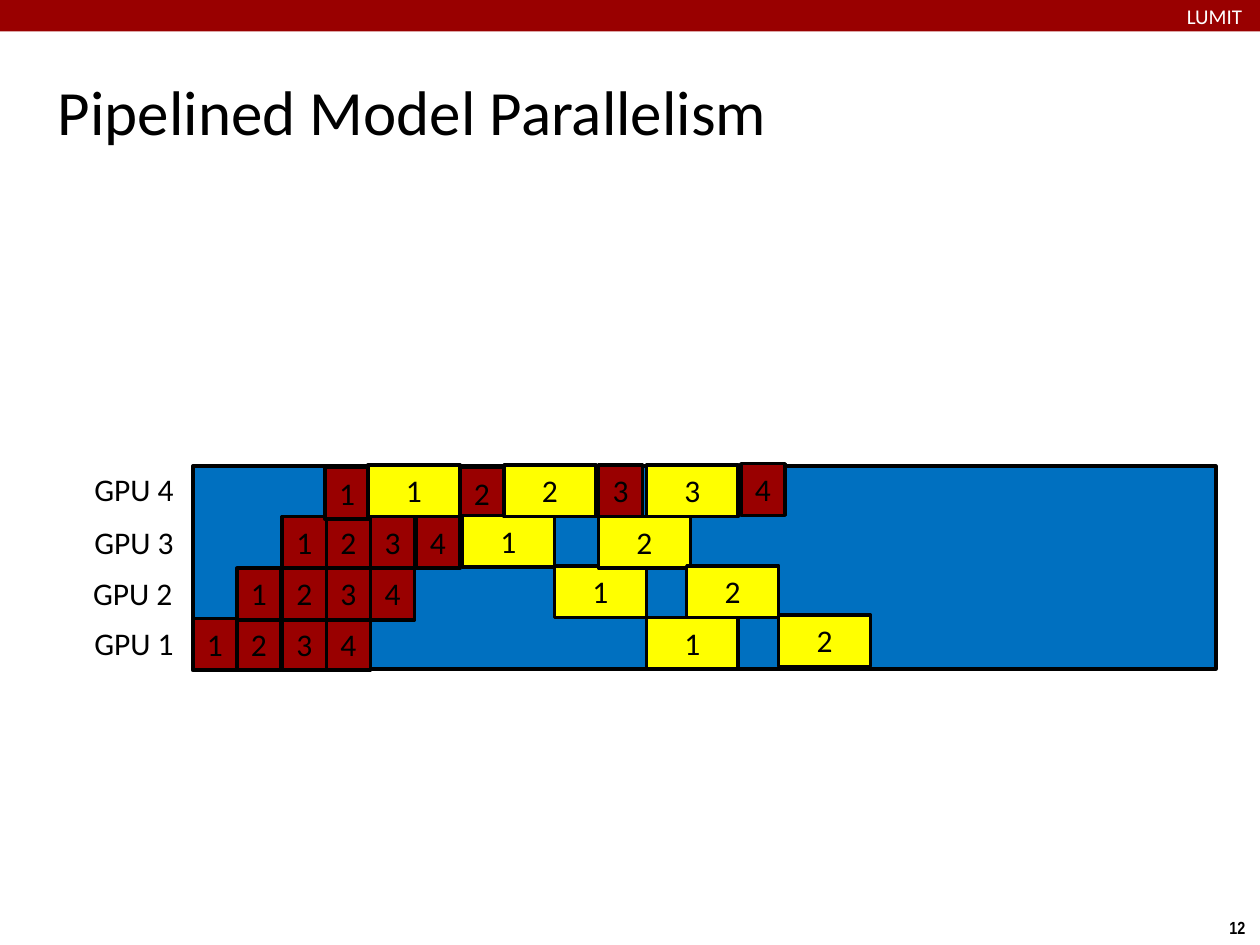
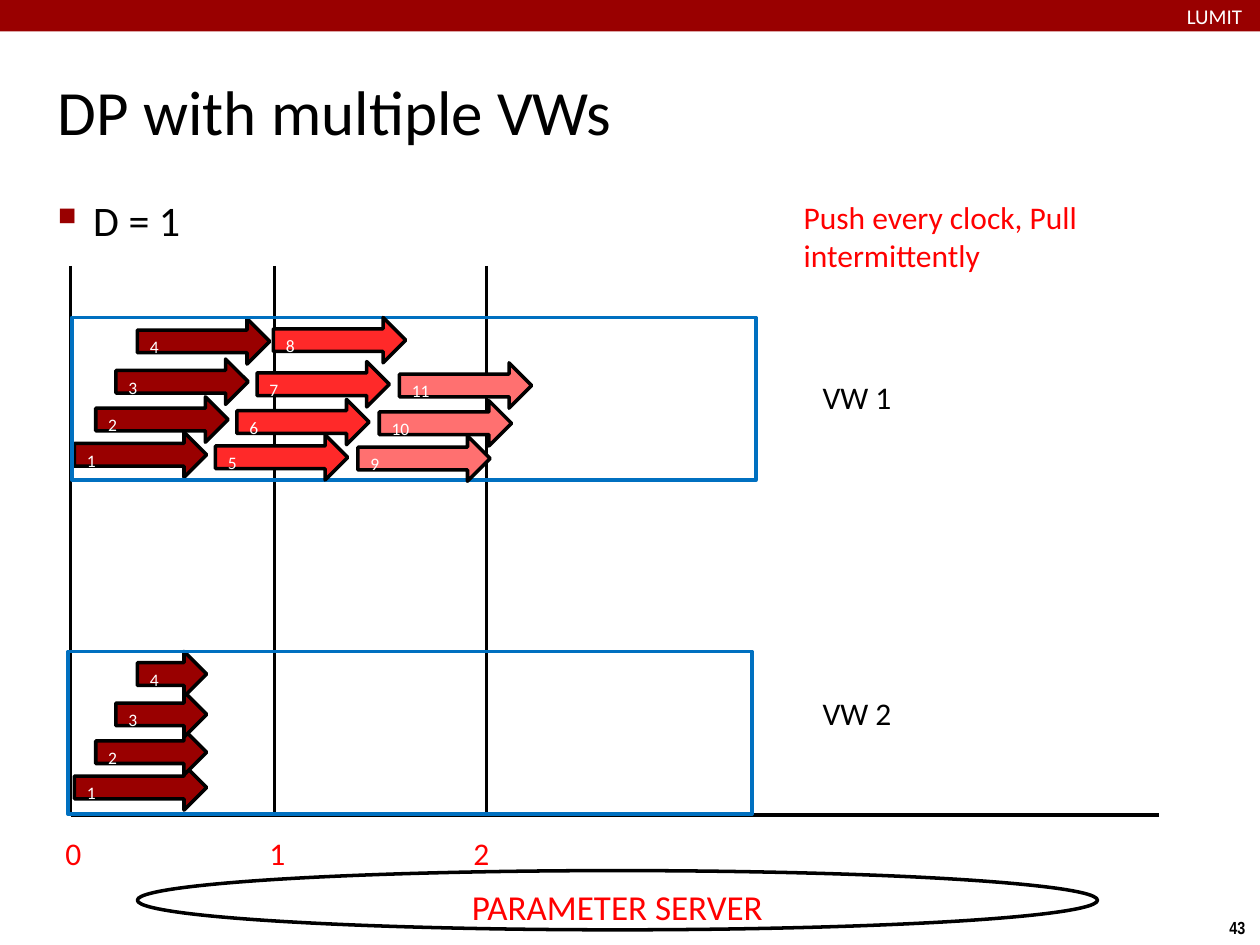
from dataclasses import dataclass

from lxml import etree
from pptx import Presentation
from pptx import util as u
from pptx.dml import color
from pptx.enum import shapes, text
from pptx.oxml import ns

EMU_PER_PX = u.Inches(1) // 100

BLACK = "000000"
WHITE = "FFFFFF"
CRIMSON = "990000"
RED = "FF0000"
BLUE = "0070C0"
YELLOW = "FFFF00"
LIGHT_RED = "FF2929"
PINK = "FF7070"

BODY_FONT = "Calibri"
NUMBER_FONT = "Arial Narrow"
SCHOOL = "LUMIT"

LEFT = text.PP_ALIGN.LEFT
CENTER = text.PP_ALIGN.CENTER
RECTANGLE = shapes.MSO_SHAPE.RECTANGLE
ARROW = shapes.MSO_SHAPE.RIGHT_ARROW
OVAL = shapes.MSO_SHAPE.OVAL


@dataclass(frozen=True)
class Box:
    left: int
    top: int
    width: int
    height: int


@dataclass(frozen=True)
class Style:
    size: int = 18
    color: str = BLACK
    font: str = BODY_FONT
    bold: bool = False
    align: text.PP_ALIGN = LEFT


@dataclass(frozen=True)
class Batch:
    number: int
    left: int
    top: int


@dataclass(frozen=True)
class Wave:
    first: int
    count: int
    left: int
    top: int
    fill: str
    shared_end: int | None = None


BLOCK_TEXT = Style(align=CENTER)
ARROW_TEXT = Style(size=10, color=WHITE)
RED_TEXT = Style(color=RED)

ROW_TOPS = {1: 491, 2: 451, 3: 410}
LABEL_BOXES = {
    1: Box(65, 490, 118, 41),
    2: Box(64, 451, 118, 41),
    3: Box(65, 410, 118, 41),
    4: Box(65, 368, 118, 41),
}
LAST_GPU_FORWARD = [
    Batch(1, 258, 371), Batch(2, 365, 371),
    Batch(3, 475, 369), Batch(4, 588, 368),
]
BACKWARD = [
    Batch(1, 292, 369), Batch(1, 367, 409), Batch(1, 440, 449), Batch(1, 513, 490),
    Batch(2, 400, 369), Batch(2, 475, 410), Batch(2, 545, 449), Batch(2, 618, 488),
    Batch(3, 513, 369),
]
FIRST_WAVES = [
    Wave(1, 4, 59, 343, CRIMSON),
    Wave(1, 4, 59, 607, CRIMSON, shared_end=164),
]
LATER_WAVES = [
    Wave(5, 3, 171, 345, LIGHT_RED),
    Wave(8, 1, 217, 252, LIGHT_RED),
    Wave(9, 3, 284, 346, PINK),
]
WAVE_RISES = [0, 28, 58, 90]


def px(length: int) -> int:
    return u.Emu(length * EMU_PER_PX)


def rgb(value: str) -> color.RGBColor:
    return color.RGBColor.from_string(value)


def place(box: Box) -> tuple[int, ...]:
    return px(box.left), px(box.top), px(box.width), px(box.height)


def write(shape, words: str, style: Style, inset: int | None = None):
    frame = shape.text_frame
    frame.word_wrap = True
    frame.vertical_anchor = text.MSO_ANCHOR.TOP
    if inset is not None:
        frame.margin_left = frame.margin_right = px(inset)
        frame.margin_top = frame.margin_bottom = px(inset)
    paragraph = frame.paragraphs[0]
    paragraph.alignment = style.align
    run = paragraph.add_run()
    run.text = words
    run.font.size = u.Pt(style.size)
    run.font.name = style.font
    run.font.bold = style.bold
    run.font.color.rgb = rgb(style.color)
    return paragraph


def indent(paragraph, hanging: int):
    properties = paragraph._p.get_or_add_pPr()
    properties.set("marL", str(px(hanging)))
    properties.set("indent", str(-px(hanging)))
    return properties


def add_text(slide, box: Box, words: str, style: Style, inset: int | None = None):
    shape = slide.shapes.add_textbox(*place(box))
    return shape, write(shape, words, style, inset)


def add_figure(slide, kind, box: Box, fill: str | None = None,
               line: str | None = BLACK, words: str = "",
               style: Style = BLOCK_TEXT):
    shape = slide.shapes.add_shape(kind, *place(box))
    shape.shadow.inherit = False
    if fill:
        shape.fill.solid()
        shape.fill.fore_color.rgb = rgb(fill)
    else:
        shape.fill.background()
    if line:
        shape.line.color.rgb = rgb(line)
        shape.line.width = u.Pt(2)
    else:
        shape.line.fill.background()
    if words:
        write(shape, words, style)
    return shape


def add_line(slide, start: tuple[int, int], end: tuple[int, int]) -> None:
    connector = slide.shapes.add_connector(
        shapes.MSO_CONNECTOR.STRAIGHT, *map(px, start + end))
    connector.line.color.rgb = rgb(BLACK)
    connector.line.width = u.Pt(2)
    etree.SubElement(connector._element.spPr, ns.qn("a:effectLst"))


def add_bullet(paragraph) -> None:
    properties = indent(paragraph, 28)
    bullet_color = etree.SubElement(properties, ns.qn("a:buClr"))
    etree.SubElement(bullet_color, ns.qn("a:srgbClr"), val=CRIMSON)
    etree.SubElement(properties, ns.qn("a:buSzPct"), val="60000")
    etree.SubElement(properties, ns.qn("a:buChar"), char="■")


def add_titled_slide(presentation, title: str, number: int):
    slide = presentation.slides.add_slide(presentation.slide_layouts[5])
    heading = slide.shapes.title
    heading.left, heading.top, heading.width, heading.height = place(Box(42, 28, 917, 119))
    indent(write(heading, title, Style(size=36), inset=4), 13)
    heading.text_frame.vertical_anchor = text.MSO_ANCHOR.MIDDLE
    add_figure(slide, RECTANGLE, Box(0, 0, 1000, 25), CRIMSON, line=None)
    add_text(slide, Box(942, 3, 56, 19), SCHOOL, Style(size=12, color=WHITE), inset=0)
    page, _ = add_text(slide, Box(966, 723, 34, 27), str(number),
                       Style(size=10, font=NUMBER_FONT, bold=True))
    page.text_frame.word_wrap = False
    return slide


def add_batch(slide, batch: Batch, width: int, fill: str) -> None:
    add_figure(slide, RECTANGLE, Box(batch.left, batch.top, width, 41),
               fill, words=str(batch.number))


def add_wave(slide, wave: Wave) -> None:
    for step in range(wave.count):
        left = wave.left + round(step * 50 / 3)
        width = wave.shared_end - left if wave.shared_end else 105
        add_figure(slide, ARROW, Box(left, wave.top - WAVE_RISES[step], width, 36),
                   wave.fill, words=str(wave.first + step), style=ARROW_TEXT)


def build_pipeline(presentation) -> None:
    slide = add_titled_slide(presentation, "Pipelined Model Parallelism", 12)
    add_figure(slide, RECTANGLE, Box(153, 370, 812, 161), BLUE)
    for gpu, top in ROW_TOPS.items():
        for number in range(1, 5):
            left = 153 + round((gpu + number - 2) * 106 / 3)
            add_batch(slide, Batch(number, left, top), 35, CRIMSON)
    for batch in LAST_GPU_FORWARD:
        add_batch(slide, batch, 35, CRIMSON)
    for gpu, box in LABEL_BOXES.items():
        add_text(slide, box, f"GPU {gpu}", Style())
    for batch in BACKWARD:
        add_batch(slide, batch, 73, YELLOW)


def build_virtual_workers(presentation) -> None:
    slide = add_titled_slide(presentation, "DP with multiple VWs", 43)
    _, paragraph = add_text(slide, Box(42, 150, 560, 50), "D = 1", Style(size=24), inset=4)
    add_bullet(paragraph)
    for left in (56, 218, 386):
        add_line(slide, (left, 211), (left, 647))
    add_line(slide, (920, 647), (56, 647))
    for wave in FIRST_WAVES:
        add_wave(slide, wave)
    add_figure(slide, OVAL, Box(109, 691, 762, 47), words="PARAMETER SERVER",
               style=Style(size=20, color=RED, align=CENTER))
    for clock, left in enumerate((42, 204, 366)):
        add_text(slide, Box(left, 657, 26, 71), str(clock), RED_TEXT)
    for frame in (Box(57, 252, 543, 129), Box(54, 517, 543, 129)):
        add_figure(slide, RECTANGLE, frame, line=BLUE)
    for worker, top in enumerate((295, 546), start=1):
        add_text(slide, Box(643, top, 170, 40), f"VW {worker}", Style())
    for wave in LATER_WAVES:
        add_wave(slide, wave)
    add_text(slide, Box(628, 152, 352, 101),
             "Push every clock, Pull intermittently", RED_TEXT)


def main() -> None:
    presentation = Presentation()
    presentation.slide_width = px(1000)
    presentation.slide_height = px(750)
    build_pipeline(presentation)
    build_virtual_workers(presentation)
    presentation.save("out.pptx")


if __name__ == "__main__":
    main()
